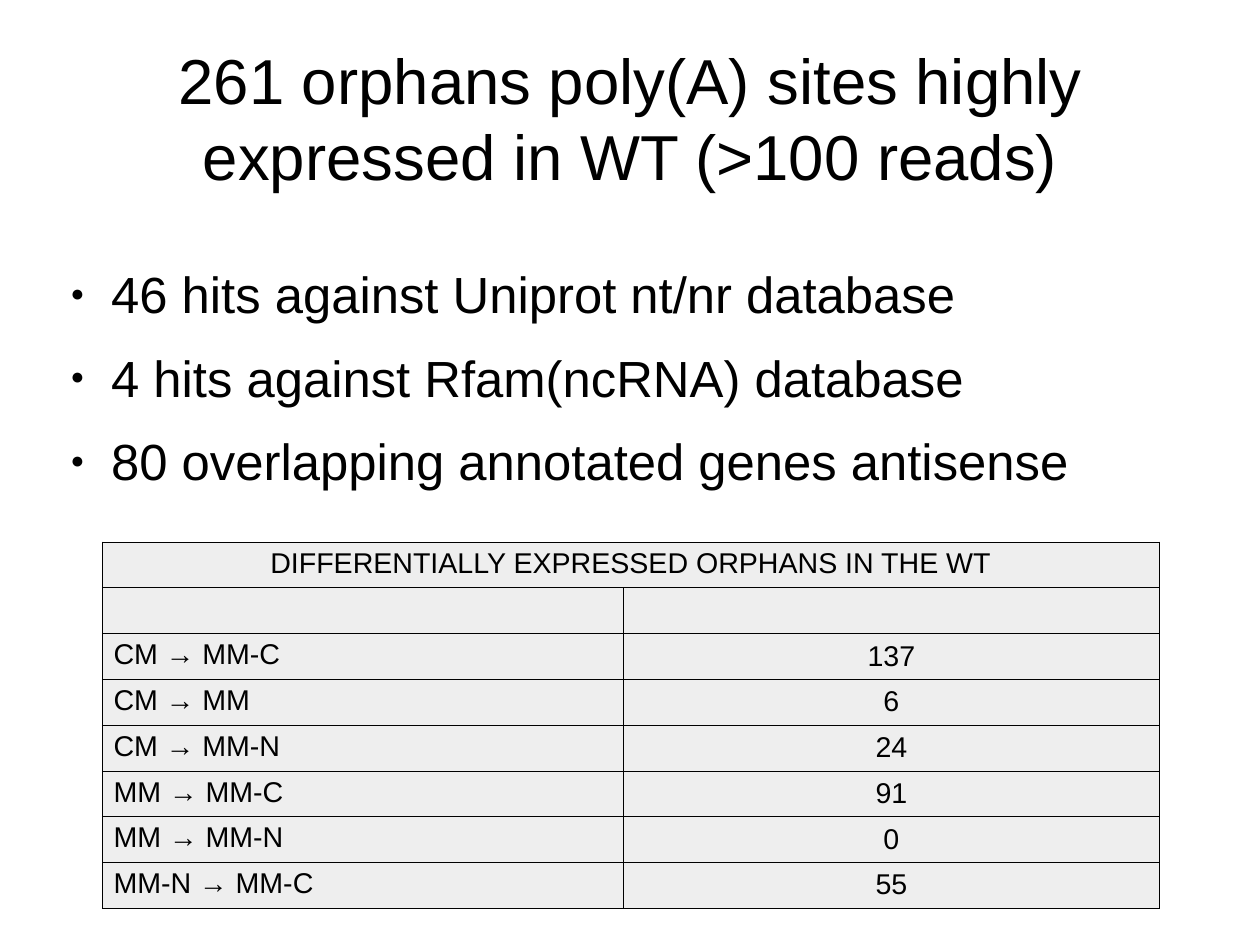
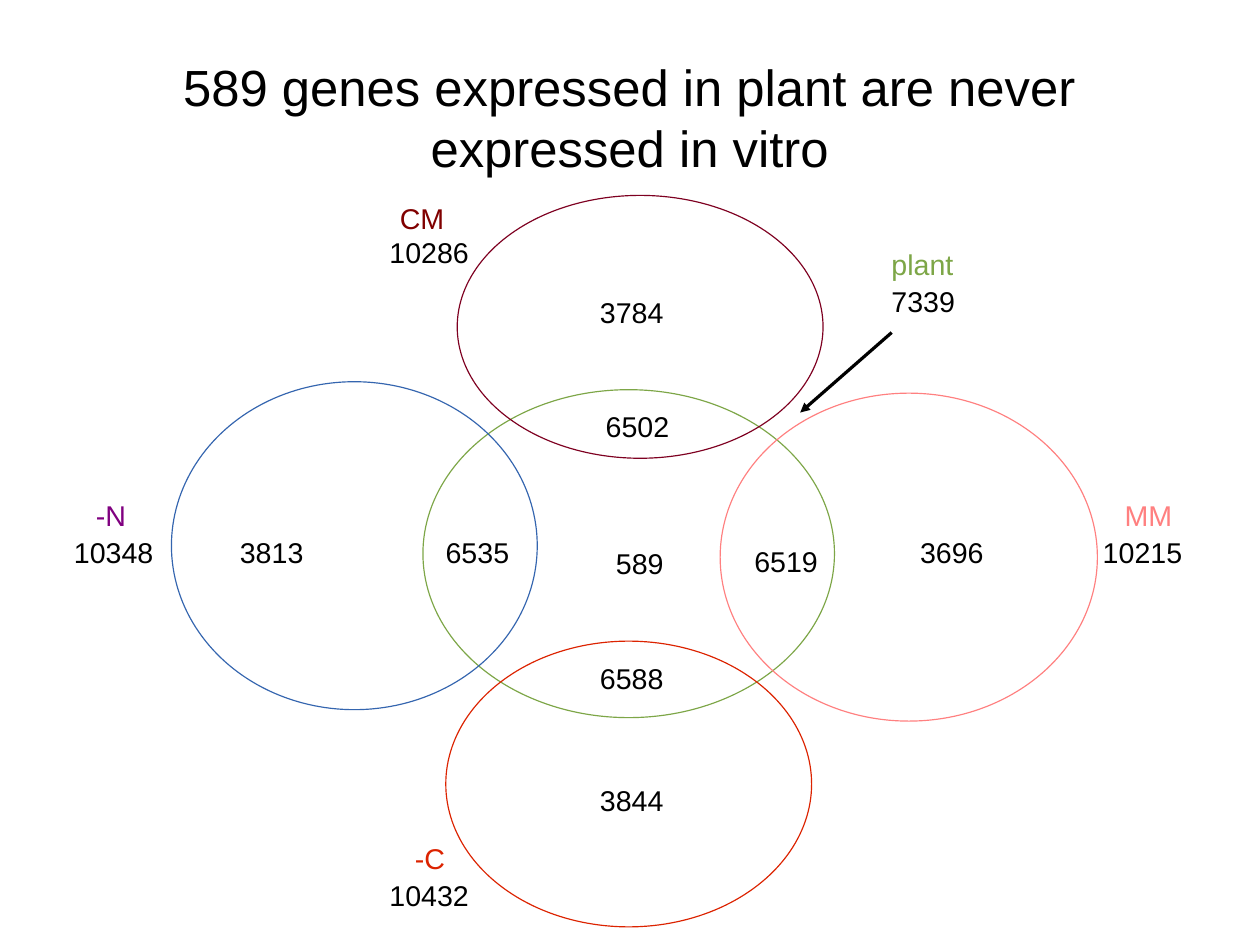
from lxml.etree import SubElement as Sub
from pptx import Presentation
from pptx.dml.color import RGBColor
from pptx.enum.shapes import MSO_CONNECTOR as Con, MSO_SHAPE as Kind
from pptx.enum.text import MSO_ANCHOR as Anchor, PP_ALIGN as Align
from pptx.oxml.ns import qn
from pptx.util import Pt

FONT = "Arial"
BLACK, GREY = "000000", "EEEEEE"
GREEN, WINE, RED, BLUE, PINK = "7DA647", "7E0021", "DC2300", "3465AF", "FF8080"
MAROON, PURPLE = "800000", "800080"
LEFT, MID, RIGHT = Align.LEFT, Align.CENTER, Align.RIGHT


def tint(code):
    return RGBColor.from_string(code)


def write(para, text, size=18, color=BLACK, align=LEFT, after=0):
    para.alignment = align
    para.space_after = Pt(after)
    run = para.add_run()
    run.text = text
    font = run.font
    font.name, font.size = FONT, Pt(size)
    font.color.rgb = tint(color)


class Deck:
    """Holds the shared style and the current slide."""

    def __init__(self, width, height):
        self.show = Presentation()
        self.show.slide_width, self.show.slide_height = Pt(width), Pt(height)

    def page(self, title, size):
        self.slide = self.show.slides.add_slide(self.show.slide_layouts[6])
        frame = self.frame(39.6, 23.8, 714.2, 99.4)
        frame.vertical_anchor = Anchor.MIDDLE
        write(frame.paragraphs[0], title, size=size, align=MID)

    def frame(self, x, y, w, h, side=0, top=0):
        box = self.slide.shapes.add_textbox(Pt(x), Pt(y), Pt(w), Pt(h))
        frame = box.text_frame
        frame.word_wrap = True
        frame.margin_left = frame.margin_right = Pt(side)
        frame.margin_top = frame.margin_bottom = Pt(top)
        return frame

    def label(self, text, x, y, w=64.8, **style):
        frame = self.frame(x, y, w, 27.4, side=7.2, top=3.6)
        write(frame.paragraphs[0], text, **style)

    def bullets(self, items, x, y, w, h):
        frame = self.frame(x, y, w, h)
        for i, item in enumerate(items):
            para = frame.add_paragraph() if i else frame.paragraphs[0]
            write(para, item, size=32, after=14.2)
            props = para._p.get_or_add_pPr()
            props.set("marL", str(Pt(34)))
            props.set("indent", str(-Pt(25.5)))
            Sub(Sub(props, qn("a:buClr")), qn("a:srgbClr"), val=BLACK)
            Sub(props, qn("a:buSzPct"), val="45000")
            Sub(props, qn("a:buFont"), typeface=FONT)
            Sub(props, qn("a:buChar"), char="●")

    def oval(self, x, y, w, h, color):
        oval = self.slide.shapes.add_shape(Kind.OVAL, Pt(x), Pt(y), Pt(w), Pt(h))
        oval.shadow.inherit = False
        oval.fill.background()
        oval.line.color.rgb = tint(color)
        oval.line.width = Pt(0)

    def arrow(self, x1, y1, x2, y2):
        line = self.slide.shapes.add_connector(
            Con.STRAIGHT, Pt(x1), Pt(y1), Pt(x2), Pt(y2))
        line.line.color.rgb = tint(BLACK)
        line.line.width = Pt(0)
        Sub(line.line._get_or_add_ln(), qn("a:tailEnd"), type="triangle")
        Sub(line._element.spPr, qn("a:effectLst"))

    def border(self, cell):
        props = cell._tc.get_or_add_tcPr()
        for i, side in enumerate(("lnL", "lnR", "lnT", "lnB")):
            edge = props.makeelement(qn("a:" + side), {"w": str(Pt(0.06))})
            Sub(Sub(edge, qn("a:solidFill")), qn("a:srgbClr"), val=BLACK)
            props.insert(i, edge)

    def table(self, head, rows, x, y, cols, high):
        count = len(rows) + 1
        grid = self.slide.shapes.add_table(
            count, len(cols), Pt(x), Pt(y), Pt(sum(cols)), Pt(high * count)).table
        for col, wide in zip(grid.columns, cols):
            col.width = Pt(wide)
        for row in grid.rows:
            row.height = Pt(high)
        for cell in grid.iter_cells():
            cell.margin_left = cell.margin_right = Pt(7.2)
            cell.margin_top = cell.margin_bottom = Pt(3.6)
            cell.fill.solid()
            cell.fill.fore_color.rgb = tint(GREY)
            self.border(cell)
        grid.cell(0, 0).merge(grid.cell(0, len(cols) - 1))
        write(grid.cell(0, 0).text_frame.paragraphs[0], head, align=MID)
        for r, row in enumerate(rows, 1):
            for c, text in enumerate(row):
                cell = grid.cell(r, c)
                if c:
                    cell.vertical_anchor = Anchor.MIDDLE
                write(cell.text_frame.paragraphs[0], text, align=MID if c else LEFT)


def orphans(deck):
    deck.page("261 orphans poly(A) sites highly expressed in WT (>100 reads)", 40)
    deck.bullets([
        "46 hits against Uniprot nt/nr database",
        "4 hits against Rfam(ncRNA) database",
        "80 overlapping annotated genes antisense",
    ], 36, 165.6, 714.2, 136.8)
    deck.table("DIFFERENTIALLY EXPRESSED ORPHANS IN THE WT", [
        ("", ""),
        ("CM → MM-C", "137"),
        ("CM → MM", "6"),
        ("CM → MM-N", "24"),
        ("MM → MM-C", "91"),
        ("MM → MM-N", "0"),
        ("MM-N → MM-C", "55"),
    ], 64.3, 341.3, (328.3, 337.7), 27.55)


def venn(deck):
    deck.page("589 genes expressed in plant are never expressed in vitro", 32)
    for oval in (
        (266.4, 245.5, 259.2, 206.6, GREEN),
        (288, 123.1, 230.4, 165.6, WINE),
        (280.8, 403.9, 230.4, 180, RED),
        (108, 240.5, 230.4, 206.6, BLUE),
        (453.6, 247.7, 237.6, 206.6, PINK),
    ):
        deck.oval(*oval)
    for name, x, y, color in (
        ("CM", 244.8, 123.1, MAROON),
        ("plant", 554.4, 151.9, GREEN),
        ("MM", 701.3, 310.3, PINK),
        ("-C", 254.2, 526.3, RED),
        ("-N", 53.3, 310.3, PURPLE),
    ):
        deck.label(name, x, y, color=color)
    for total, x, y in (
        ("10286", 230.4, 144.7),
        ("10215", 679.7, 333.4),
        ("10432", 230.4, 549.4),
        ("10348", 31.7, 333.4),
    ):
        deck.label(total, x, y, w=72, align=RIGHT)
    for count, x, y in (
        ("7339", 554.4, 175),
        ("3784", 370.8, 182.2),
        ("6502", 374.4, 254.2),
        ("3813", 144, 333.4),
        ("6535", 273.6, 333.4),
        ("589", 380.9, 340.6),
        ("6519", 468, 339.1),
        ("3696", 572.4, 333.4),
        ("6588", 370.8, 412.6),
        ("3844", 370.8, 489.6),
    ):
        deck.label(count, x, y)
    deck.arrow(561.6, 209.5, 504, 259.9)


def main():
    deck = Deck(793.6, 595.3)
    orphans(deck)
    venn(deck)
    deck.show.save("out.pptx")


if __name__ == "__main__":
    main()
